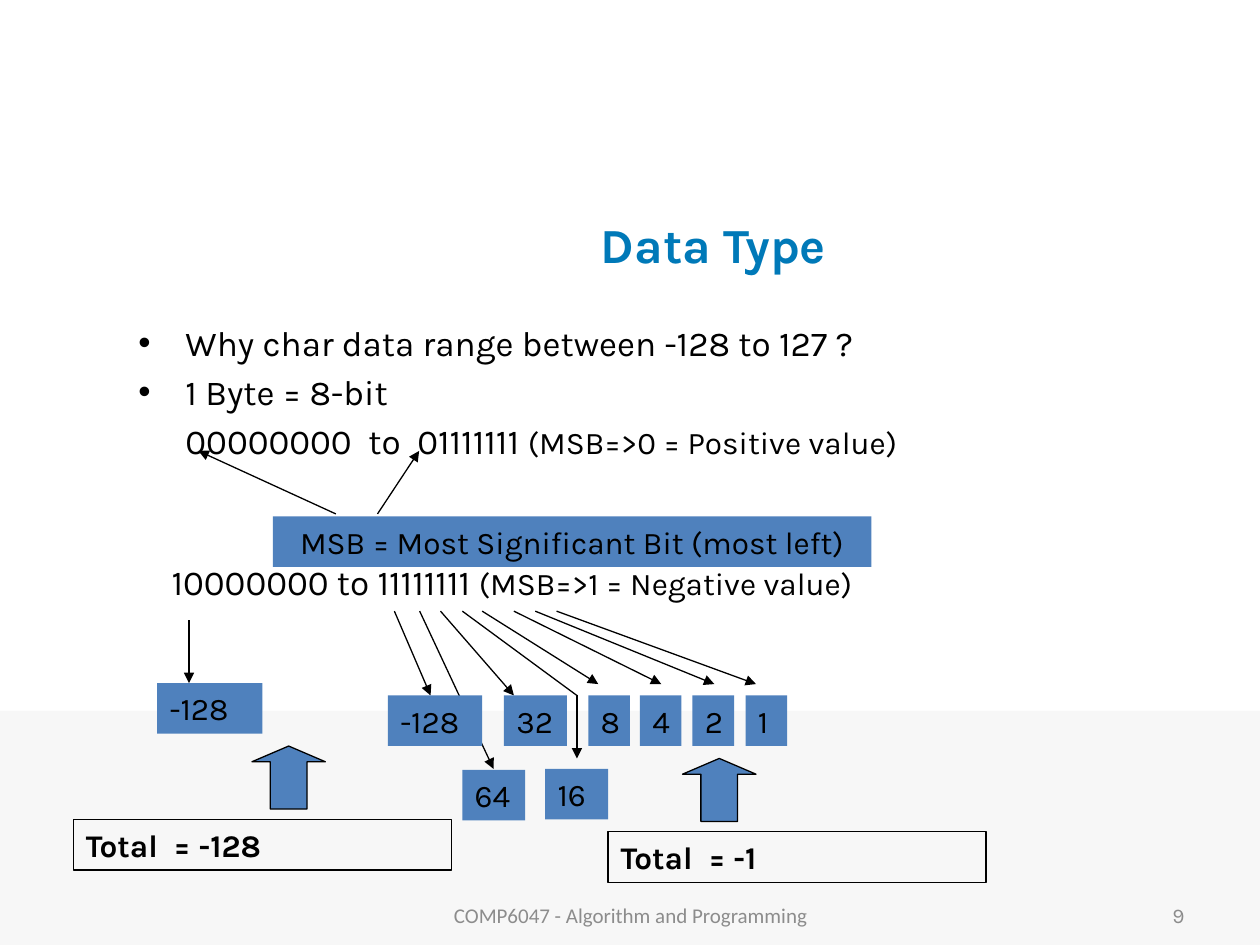
from pptx import Presentation
from pptx.util import Cm, Pt
from pptx.dml.color import RGBColor
from pptx.enum.shapes import MSO_SHAPE as Form, MSO_CONNECTOR as Link
from pptx.enum.text import PP_ALIGN as Align, MSO_ANCHOR as Anchor
from pptx.oxml.ns import qn
from lxml.etree import SubElement as Sub

BLUE, BLACK, GREY = "4F81BD", "000000", "8C8C8C"
HIGH = 1.02  # height of a one-line box

deck = Presentation()
deck.slide_width, deck.slide_height = Cm(25.4), Cm(19.05)
slide = deck.slides.add_slide(deck.slide_layouts[6])
shapes = slide.shapes


def paint(target, color):
    target.rgb = RGBColor.from_string(color)


def style(run, size, color=BLACK, bold=False, face="Karla"):
    run.font.size, run.font.bold, run.font.name = Pt(size), bold, face
    paint(run.font.color, color)


def block(form, x, y, w, h, fill=None, edge=None):
    item = shapes.add_shape(form, Cm(x), Cm(y), Cm(w), Cm(h))
    item.shadow.inherit = False
    if fill:
        item.fill.solid()
        paint(item.fill.fore_color, fill)
    else:
        item.fill.background()
    if edge:
        paint(item.line.color, edge)
        item.line.width = Pt(0.75)
    else:
        item.line.fill.background()
    return item


def write(item, text, size, align=Align.LEFT, anchor=Anchor.TOP, **look):
    frame = item.text_frame
    frame.word_wrap, frame.vertical_anchor = True, anchor
    frame.text = text
    line = frame.paragraphs[0]
    line.alignment = align
    style(line.runs[0], size, **look)


def label(text, x, y, w, align=Align.LEFT):
    write(block(Form.RECTANGLE, x, y, w, HIGH, BLUE), text, 18, align)


def note(text, x, y, w, h, size, align, **look):
    item = shapes.add_textbox(Cm(x), Cm(y), Cm(w), Cm(h))
    write(item, text, size, align, Anchor.MIDDLE, **look)


def arrow(x1, y1, x2, y2, head=True):
    line = shapes.add_connector(Link.STRAIGHT, Cm(x1), Cm(y1), Cm(x2), Cm(y2))
    paint(line.line.color, BLACK)
    line.line.width = Pt(0.75)
    props = line._element.spPr
    if head:
        Sub(props.find(qn("a:ln")), qn("a:tailEnd"), type="triangle")
    Sub(props, qn("a:effectLst"))


def total(text, x, y, up, top):
    """Sum box with the block arrow above it."""
    block(Form.UP_ARROW, up, top, 1.48, 1.27, BLUE, BLACK).adjustments[1] = 0.25
    box = block(Form.RECTANGLE, x, y, 7.62, HIGH, edge=BLACK)
    write(box, text, 18, bold=True)


def body(x, y, w, h):
    # text parts, left margin, hanging indent, space before, bullet
    rows = [
        (["Why char data range between -128 to 127 ?"], 0.95, -0.95, 4, True),
        (["1 Byte = 8-bit"], 0.95, -0.95, 4, True),
        (["00000000  to  01111111 ", "(MSB=>0 = Positive value)"], 0.95, 0, 4, False),
        (["10000000 to 11111111 ", "(MSB=>1 = Negative value)"], 0.67, 0, 57, False),
    ]
    frame = shapes.add_textbox(Cm(x), Cm(y), Cm(w), Cm(h)).text_frame
    frame.word_wrap = True
    for i, (parts, left, hang, gap, dot) in enumerate(rows):
        line = frame.add_paragraph() if i else frame.paragraphs[0]
        line.space_before = Pt(gap)
        for part, size in zip(parts, (20, 18)):
            run = line.add_run()
            run.text = part
            style(run, size)
        props = line._p.get_or_add_pPr()
        props.set("marL", str(Cm(left)))
        props.set("indent", str(Cm(hang)))
        if dot:
            Sub(props, qn("a:buFont"), typeface="Arial")
            Sub(props, qn("a:buChar"), char="\u2022")
        else:
            Sub(props, qn("a:buNone"))


def msb(x, y, w):
    """Bar that points at the leftmost bit of both numbers."""
    label("MSB = Most Significant Bit (most left)", x, y, w, Align.CENTER)
    for start, end in ((1.27, -1.5), (2.11, 2.95)):
        arrow(x + start, y - 0.05, x + end, y - 1.32)


def lowest(x, y):
    """Value of 10000000."""
    label("-128", x + 1.69, y + 1.27, 2.12)
    arrow(x + 2.33, y, x + 2.33, y + 1.27)
    total("Total  = -128", x, y + 4.02, x + 3.6, y + 2.54)


def ones(x, y):
    """Value of 11111111, bit by bit."""
    mid, low, tip = 1.7, 3.18, 1.47
    # text, box left, box top, box width, line start, line end x, line end y
    bits = [
        ("-128", 0, mid, 1.9, 0.13, 0.86, mid),
        ("64", 1.5, low + 0.02, 1.27, 0.64, 2.13, low),
        ("32", 2.34, mid, 1.27, 1.06, 2.54, mid),
        ("16", 3.17, low, 1.27, 1.5, 3.81, mid),
        ("8", 4.04, mid, 0.84, 1.9, 4.24, tip),
        ("4", 5.08, mid, 0.84, 2.54, 5.51, tip),
        ("2", 6.14, mid, 0.84, 2.97, 6.58, tip),
        ("1", 7.21, mid, 0.84, 3.4, 7.42, tip),
    ]
    for text, _, _, _, start, end, drop in bits:
        arrow(x + start, y, x + end, y + drop, text != "16")
    arrow(x + 3.81, y + mid, x + 3.81, y + 2.97)  # bend down to 16
    for text, left, top, wide, *_ in bits:
        label(text, x + left, y + top, wide)
    total("Total  = -1", x + 4.44, y + 4.45, x + 5.94, y + 2.97)


def footer(x, y, w, h):
    note("COMP6047 - Algorithm and Programming", x + 8.69, y, 8.05, h, 12,
         Align.CENTER, color=GREY, face="Calibri")
    note("9", x + w - 7.19, y, 5.92, h, 12, Align.RIGHT, color=GREY)


# Backdrop and title
block(Form.RECTANGLE, 0, 14.33, 25.4, 4.72, "F7F7F7")
note("Data Type", 4.88, 3.81, 19, 2.21, 28, Align.CENTER, color="0079B8", bold=True)

# Content
body(2.54, 6.35, 21.79, 10.34)
msb(5.5, 10.41, 12.07)
lowest(1.48, 12.5)
ones(7.82, 12.32)
footer(0, 17.93, 25.4, 1.02)

deck.save("out.pptx")
